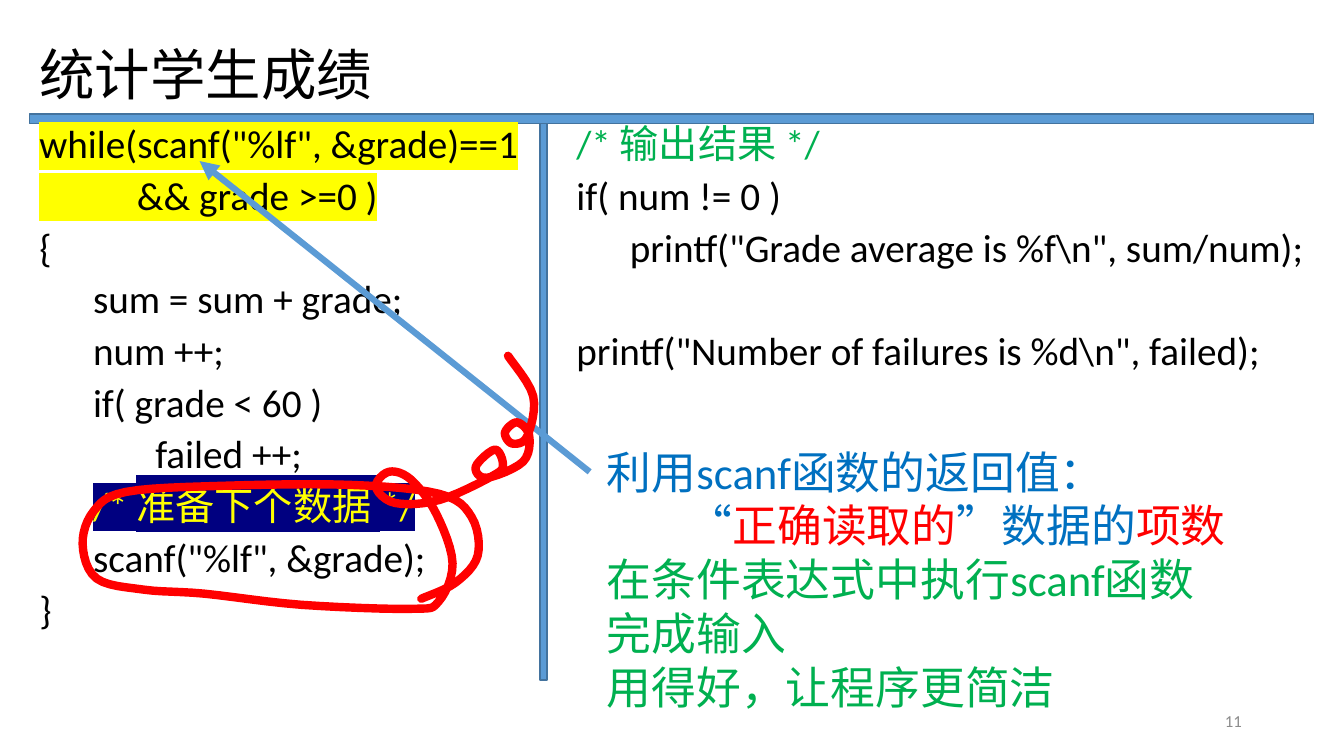
from lxml import etree
from pptx import Presentation
from pptx.dml.color import RGBColor
from pptx.enum.shapes import MSO_CONNECTOR, MSO_SHAPE
from pptx.enum.text import MSO_ANCHOR, MSO_AUTO_SIZE, PP_ALIGN
from pptx.oxml.ns import qn
from pptx.util import Cm, Pt

RECTANGLE = MSO_SHAPE.RECTANGLE
STRAIGHT = MSO_CONNECTOR.STRAIGHT
TOP, MIDDLE = MSO_ANCHOR.TOP, MSO_ANCHOR.MIDDLE
LEFT, RIGHT = PP_ALIGN.LEFT, PP_ALIGN.RIGHT
NO_FIT = MSO_AUTO_SIZE.NONE

COLORS = {
    "black": "000000", "gray": "8C8C8C", "red": "FF0000", "green": "00B050",
    "blue": "0070C0", "yellow": "FFFF00", "navy": "000080",
    "accent": "5B9BD5", "accent_edge": "43739E",
}
FONT = "Calibri"
CODE_FORMAT = {"size": 28, "line_spacing": 0.8, "before": 10}
CODE_INDENT = 1.35
DEEP_INDENT = 2.92
BODY_TOP, BODY_HEIGHT = 3.12, 14.02

# Guide points of the pen stroke, in hundredths of an inch
PEN_STROKE = [
    (418, 594), (452, 578), (474, 551), (468, 513), (436, 490), (346, 481),
    (220, 482), (125, 488), (93, 507), (82, 540), (96, 574), (143, 585),
    (203, 589), (299, 600), (408, 604), (435, 597), (449, 559), (433, 510),
    (408, 476), (386, 468), (373, 483), (392, 499), (436, 496), (489, 472),
    (499, 461), (491, 446), (472, 463), (483, 474), (519, 458), (525, 432),
    (513, 419), (501, 429), (508, 440), (523, 433), (529, 393), (504, 353),
]


def rgb(name):
    """Return the palette colour with this name."""
    return RGBColor.from_string(COLORS[name])


def smooth(points, steps=6):
    """Return points of a Catmull-Rom curve through the guide points."""
    padded = [points[0], *points, points[-1]]
    curve = [points[0]]
    for before, start, end, after in zip(padded, padded[1:], padded[2:], padded[3:]):
        for step in range(1, steps + 1):
            t = step / steps
            curve.append(tuple(
                b + t / 2 * (c - a + t * (2 * a - 5 * b + 4 * c - d
                                          + t * (3 * b - 3 * c + d - a)))
                for a, b, c, d in zip(before, start, end, after)))
    return curve


def write_run(paragraph, text, size=28, color="black", highlight=None):
    """Add a formatted run of text to a paragraph."""
    run = paragraph.add_run()
    run.text = text
    run.font.name = FONT
    run.font.size = Pt(size)
    run.font.color.rgb = rgb(color)
    if highlight:
        mark = etree.Element(qn("a:highlight"))
        etree.SubElement(mark, qn("a:srgbClr")).set("val", COLORS[highlight])
        run.font._element.find(qn("a:solidFill")).addnext(mark)


def write_paragraph(paragraph, runs, size=28, line_spacing=1.0, before=0,
                    indent=0, align=LEFT):
    """Format a paragraph without bullet and write its runs."""
    paragraph.alignment = align
    paragraph.line_spacing = line_spacing
    paragraph.space_before = Pt(before)
    properties = paragraph._p.get_or_add_pPr()
    properties.set("marL", str(Cm(indent)))
    properties.set("indent", "0")
    etree.SubElement(properties, qn("a:buNone"))
    for text, *style in runs:
        write_run(paragraph, text, size, *style)


class SlideBuilder:
    """Holds the current slide and draws its elements in one style."""

    def __init__(self, slide):
        """Keep the slide and its shapes."""
        self.slide = slide
        self.shapes = slide.shapes

    def fill_frame(self, shape, lines, anchor=TOP, **text_format):
        """Write lines of (runs, own format) into a shape."""
        frame = shape.text_frame
        frame.word_wrap = True
        frame.auto_size = NO_FIT
        frame.vertical_anchor = anchor
        for number, (runs, own_format) in enumerate(lines):
            paragraph = frame.add_paragraph() if number else frame.paragraphs[0]
            write_paragraph(paragraph, runs, **{**text_format, **own_format})

    def placeholder(self, index, box, lines, **text_format):
        """Move a template placeholder and write its text."""
        shape = self.slide.placeholders[index]
        shape.left, shape.top, shape.width, shape.height = map(Cm, box)
        self.fill_frame(shape, lines, **text_format)

    def text_box(self, box, lines, **text_format):
        """Add a wrapping text box."""
        self.fill_frame(self.shapes.add_textbox(*map(Cm, box)), lines, **text_format)

    def bar(self, box):
        """Add a thin bar behind all text."""
        shape = self.shapes.add_shape(RECTANGLE, *map(Cm, box))
        shape.shadow.inherit = False
        shape.fill.solid()
        shape.fill.fore_color.rgb = rgb("accent")
        shape.line.color.rgb = rgb("accent_edge")
        shape.line.width = Pt(1)
        self.shapes._spTree.insert(2, shape._element)

    def arrow(self, start, end):
        """Add an arrow from start to end."""
        connector = self.shapes.add_connector(STRAIGHT, *map(Cm, start + end))
        connector.line.color.rgb = rgb("accent")
        connector.line.width = Pt(4.5)
        tip = etree.SubElement(connector.line._get_or_add_ln(), qn("a:tailEnd"))
        tip.set("type", "triangle")
        etree.SubElement(connector._element.spPr, qn("a:effectLst"))

    def pen_stroke(self, points):
        """Add an open red hand-drawn line."""
        unit = Cm(2.54) / 100
        start, *others = [(round(x * unit), round(y * unit)) for x, y in smooth(points)]
        outline = self.shapes.build_freeform(*start)
        outline.add_line_segments(others, close=False)
        shape = outline.convert_to_shape()
        shape.shadow.inherit = False
        shape.fill.background()
        shape.line.color.rgb = rgb("red")
        shape.line.width = Pt(6)
        line = shape.line._get_or_add_ln()
        line.set("cap", "rnd")
        etree.SubElement(line, qn("a:round"))


def code(text, indent=0, color="black", highlight=None, **own_format):
    """Return one line of text with a single run."""
    return [(text, color, highlight)], {"indent": indent, **own_format}


def main():
    """Build the slide and save it."""
    presentation = Presentation()
    presentation.slide_width, presentation.slide_height = Cm(33.87), Cm(19.05)
    slide = presentation.slides.add_slide(presentation.slide_layouts[3])
    builder = SlideBuilder(slide)

    builder.bar((0.74, 2.87, 32.36, 0.25))
    builder.bar((13.61, BODY_TOP, 0.18, BODY_HEIGHT))
    builder.placeholder(0, (0.74, 1.02, 32.36, 1.85), [code("统计学生成绩")],
                        anchor=MIDDLE, size=39.6, line_spacing=0.9)
    builder.placeholder(1, (0.74, BODY_TOP, 15.98, BODY_HEIGHT), [
        code('while(scanf("%lf", &grade)==1', highlight="yellow"),
        code("           && grade >=0 )", highlight="yellow"),
        code("{"),
        code("sum = sum + grade;", CODE_INDENT),
        code("num ++;", CODE_INDENT),
        code("if( grade < 60 )", CODE_INDENT),
        code("failed ++;", DEEP_INDENT),
        code("/* 准备下个数据 */", CODE_INDENT, "yellow", "navy"),
        code('scanf("%lf", &grade);', CODE_INDENT),
        code("}"),
    ], **CODE_FORMAT)
    builder.placeholder(2, (14.27, BODY_TOP, 18.82, BODY_HEIGHT), [
        code("/* 输出结果 */", color="green"),
        code("if( num != 0 )"),
        code(r'printf("Grade average is %f\n", sum/num);', CODE_INDENT),
        code(r'printf("Number of failures is %d\n", failed);', before=47),
    ], **CODE_FORMAT)
    builder.text_box((23.93, 17.65, 7.62, 1.02), [code("11", color="gray")],
                     anchor=MIDDLE, size=12, align=RIGHT)
    builder.text_box((15.04, 11.07, 16.18, 7.9), [
        code("利用scanf函数的返回值：", color="blue"),
        ([("“", "blue"), ("正确读取的", "red"), ("”数据的", "blue"),
          ("项数", "red")], {"indent": 2.04}),
        code("在条件表达式中执行scanf函数完成输入", color="green"),
        code("用得好，让程序更简洁", color="green"),
    ], size=32)
    builder.arrow((14.86, 11.89), (5.03, 4.06))
    builder.pen_stroke(PEN_STROKE)

    presentation.save("out.pptx")


main()
